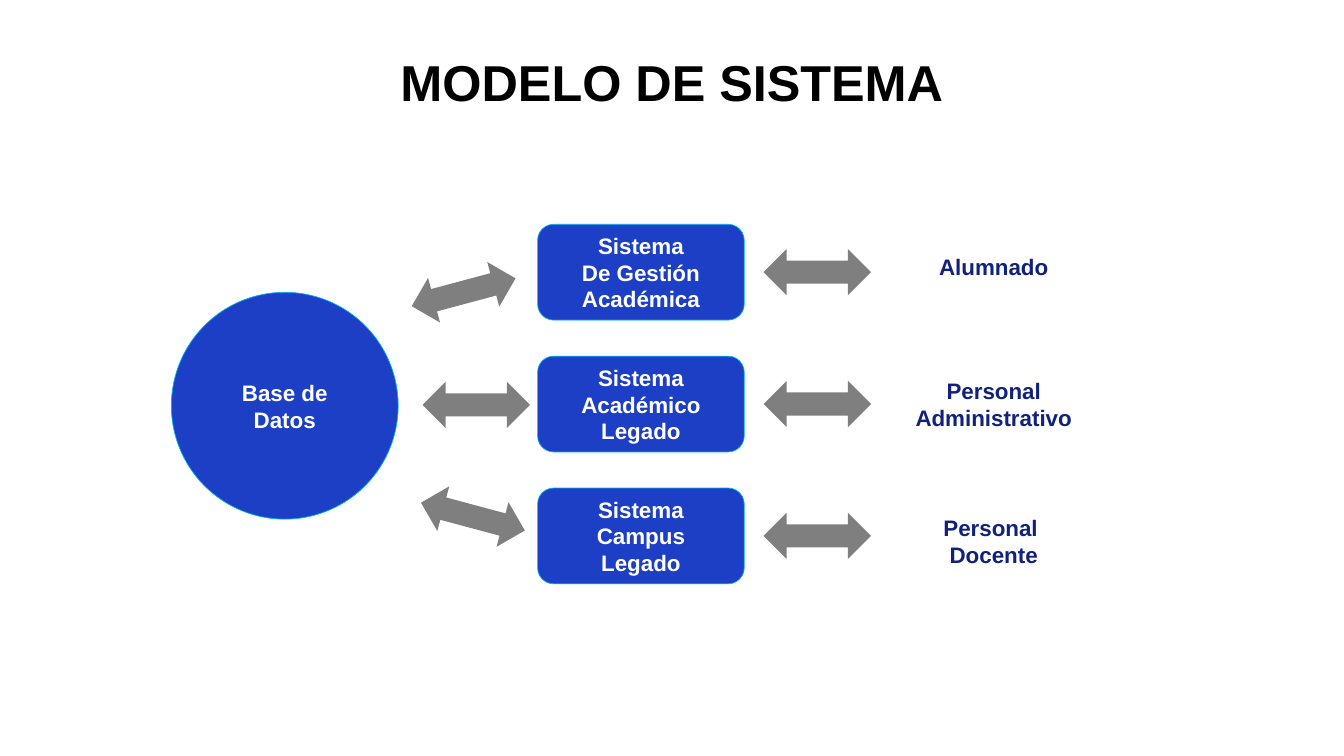
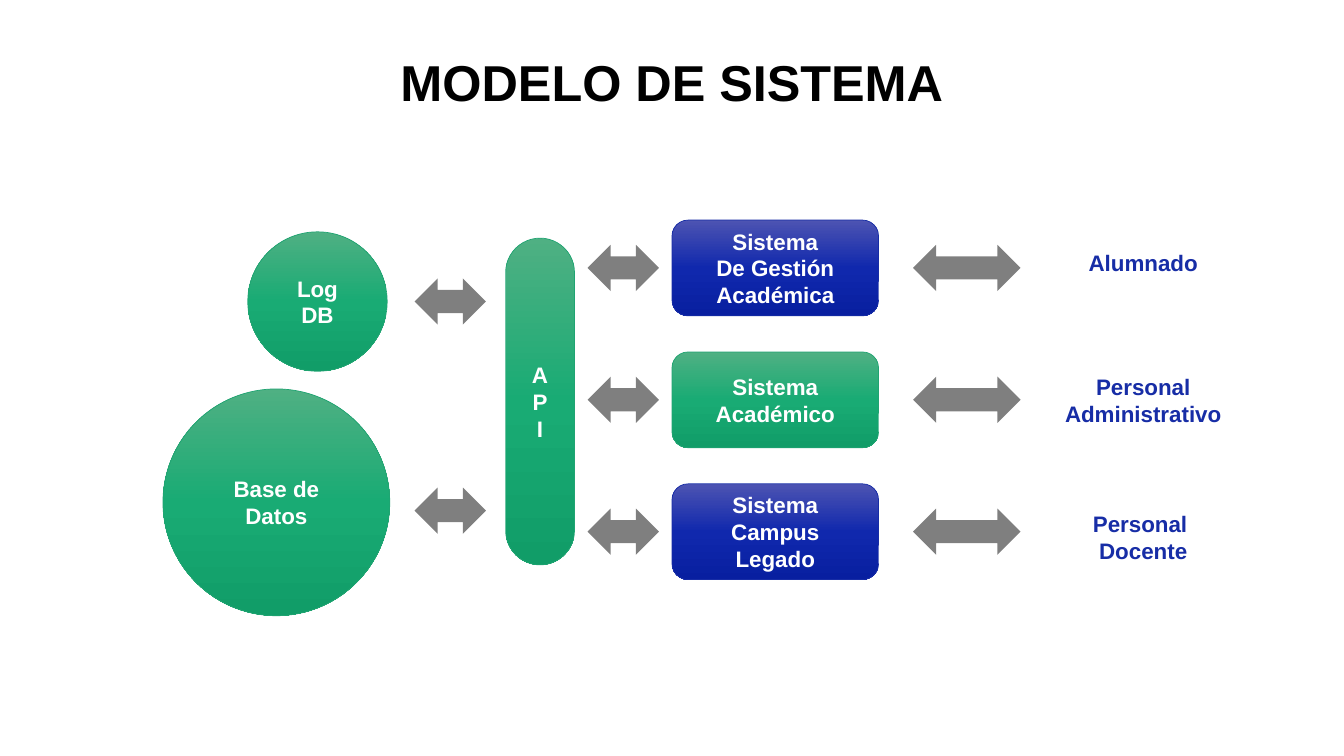
from copy import deepcopy

from lxml import etree
from pptx import Presentation
from pptx.dml.color import RGBColor
from pptx.enum.shapes import MSO_SHAPE
from pptx.enum.text import MSO_ANCHOR, PP_ALIGN
from pptx.oxml.ns import qn
from pptx.util import Inches, Pt

OVAL = MSO_SHAPE.OVAL
ROUND = MSO_SHAPE.ROUNDED_RECTANGLE
ARROW = MSO_SHAPE.LEFT_RIGHT_ARROW
MIDDLE = MSO_ANCHOR.MIDDLE
CENTER = PP_ALIGN.CENTER

BLACK = RGBColor(0x00, 0x00, 0x00)
WHITE = RGBColor(0xFF, 0xFF, 0xFF)
NAVY = RGBColor(0x11, 0x22, 0x7D)
INK = RGBColor(0x17, 0x2D, 0xA6)
ROYAL = RGBColor(0x1C, 0x3F, 0xC6)
SKY = RGBColor(0x00, 0xB0, 0xF0)
LEAF = RGBColor(0x20, 0xA4, 0x72)
GREENS = (RGBColor(0x4F, 0xB0, 0x83), RGBColor(0x19, 0xAB, 0x74),
          RGBColor(0x11, 0x9D, 0x68))
BLUES = (RGBColor(0x4D, 0x54, 0xB2), RGBColor(0x10, 0x28, 0xAD),
         RGBColor(0x08, 0x1F, 0xA0))

# Fill colours from top to bottom, then the outline
FLAT = ((ROYAL,), SKY)
GREEN = (GREENS, LEAF)
BLUE = (BLUES, INK)

HEAD = {"name": "Arial", "size": Pt(36), "bold": True}
BODY = {"name": "Arial", "size": Pt(16), "bold": True}

COLS, ROWS = 160, 90
CELL = Inches(1) // 12
PITCH = 15.7
BOX = (24.6, 11.4)
DISC = (27, 27)
LONG, SHORT, THICK = 12.8, 8.5, 5.5
TITLE = "MODELO DE SISTEMA"
ADMIN = "Sistema\nDe Gestión Académica"
CAMPUS = "Sistema\nCampus\nLegado"
USERS = (("Alumnado", -0.7), ("Personal Administrativo", 0),
         ("Personal \nDocente", 0.6))


def rows(mid):
    """Centres of the three rows around the middle one."""
    return [mid + step * PITCH for step in (-1, 0, 1)]


class Deck:
    """Style and current slide; places are centres in grid cells."""

    def __init__(self):
        self.deck = Presentation()
        self.deck.slide_width = COLS * CELL
        self.deck.slide_height = ROWS * CELL
        self.slide = None

    def page(self):
        self.slide = self.deck.slides.add_slide(self.deck.slide_layouts[6])
        self.label(TITLE, (COLS / 2, 10.1), (154, 8.3), BLACK, HEAD, 0.9)

    def area(self, spot, size):
        """Left, top, width and height in EMU."""
        corner = [mid - side / 2 for mid, side in zip(spot, size)]
        return [round(cells * CELL) for cells in (*corner, *size)]

    def letter(self, shape, text, color, font, space=None):
        """Put centred text into a shape."""
        frame = shape.text_frame
        frame.word_wrap = True
        frame.vertical_anchor = MIDDLE
        frame.text = text
        for para in frame.paragraphs:
            para.alignment = CENTER
            para.line_spacing = space
            para.font.color.rgb = color
            for key, value in font.items():
                setattr(para.font, key, value)

    def label(self, text, spot, size, color, font=BODY, space=None):
        box = self.slide.shapes.add_textbox(*self.area(spot, size))
        self.letter(box, text, color, font, space)

    def paint(self, shape, tones):
        """Fill with one colour, or with an even gradient downwards."""
        fill = shape.fill
        if len(tones) == 1:
            fill.solid()
            fill.fore_color.rgb = tones[0]
            return
        fill.gradient()
        fill.gradient_angle = 270
        stops = shape._element.spPr.find(".//" + qn("a:gsLst"))
        while len(stops) < len(tones):
            stops.append(deepcopy(stops[0]))
        for i, (stop, tone) in enumerate(zip(fill.gradient_stops, tones)):
            stop.position = i / (len(tones) - 1)
            stop.color.rgb = tone

    def node(self, kind, text, spot, size, skin):
        shape = self.slide.shapes.add_shape(kind, *self.area(spot, size))
        shape.shadow.inherit = False
        tones, edge = skin
        self.paint(shape, tones)
        shape.line.color.rgb = edge
        shape.line.width = Pt(0.5)
        self.letter(shape, text, WHITE, BODY)
        return shape

    def arrow(self, spot, length=LONG, turn=0):
        shape = self.slide.shapes.add_shape(
            ARROW, *self.area(spot, (length, THICK)))
        shape.shadow.inherit = False
        shape.rotation = turn
        self.paint(shape, (BLACK,))
        shape.line.fill.background()
        tone = shape._element.spPr.find(".//" + qn("a:srgbClr"))
        etree.SubElement(tone, qn("a:alpha"), val="50000")

    def chain(self, mid, cols, systems, color):
        """Three rows, each with a system, an arrow and its users."""
        box, link, user = cols
        for y, (text, skin), (name, shift) in zip(rows(mid), systems, USERS):
            self.node(ROUND, text, (box, y), BOX, skin)
            self.arrow((link, y))
            self.label(name, (user, y + shift), BOX, color)

    def save(self):
        self.deck.save("out.pptx")


def legacy(deck):
    deck.page()
    deck.node(OVAL, "Base de Datos", (33.9, 48.3), DISC, FLAT)
    for x, y, turn in ((55.2, 34.8, -15), (56.7, 48.2, 0), (56.3, 61.5, 15)):
        deck.arrow((x, y), turn=turn)
    systems = ((ADMIN, FLAT), ("Sistema\nAcadémico\nLegado", FLAT),
               (CAMPUS, FLAT))
    deck.chain(48.1, (76.3, 97.3, 118.3), systems, NAVY)


def modern(deck):
    deck.page()
    deck.node(OVAL, "Base de Datos", (32.9, 59.8), DISC, GREEN)
    deck.node(OVAL, "Log\nDB", (37.8, 35.9), (16.6, 16.6), GREEN)
    bar = deck.node(ROUND, "A\vP\vI", (64.3, 47.8), (8.2, 38.9), GREEN)
    bar.adjustments[0] = 0.5
    for y in (35.9, 60.8):
        deck.arrow((53.6, y), SHORT)
    mid = 47.6
    for y in rows(mid):
        deck.arrow((74.2, y), SHORT)
    systems = ((ADMIN, BLUE), ("Sistema Académico", GREEN), (CAMPUS, BLUE))
    deck.chain(mid, (92.3, 115.1, 136.1), systems, INK)


def main():
    deck = Deck()
    legacy(deck)
    modern(deck)
    deck.save()


if __name__ == "__main__":
    main()
